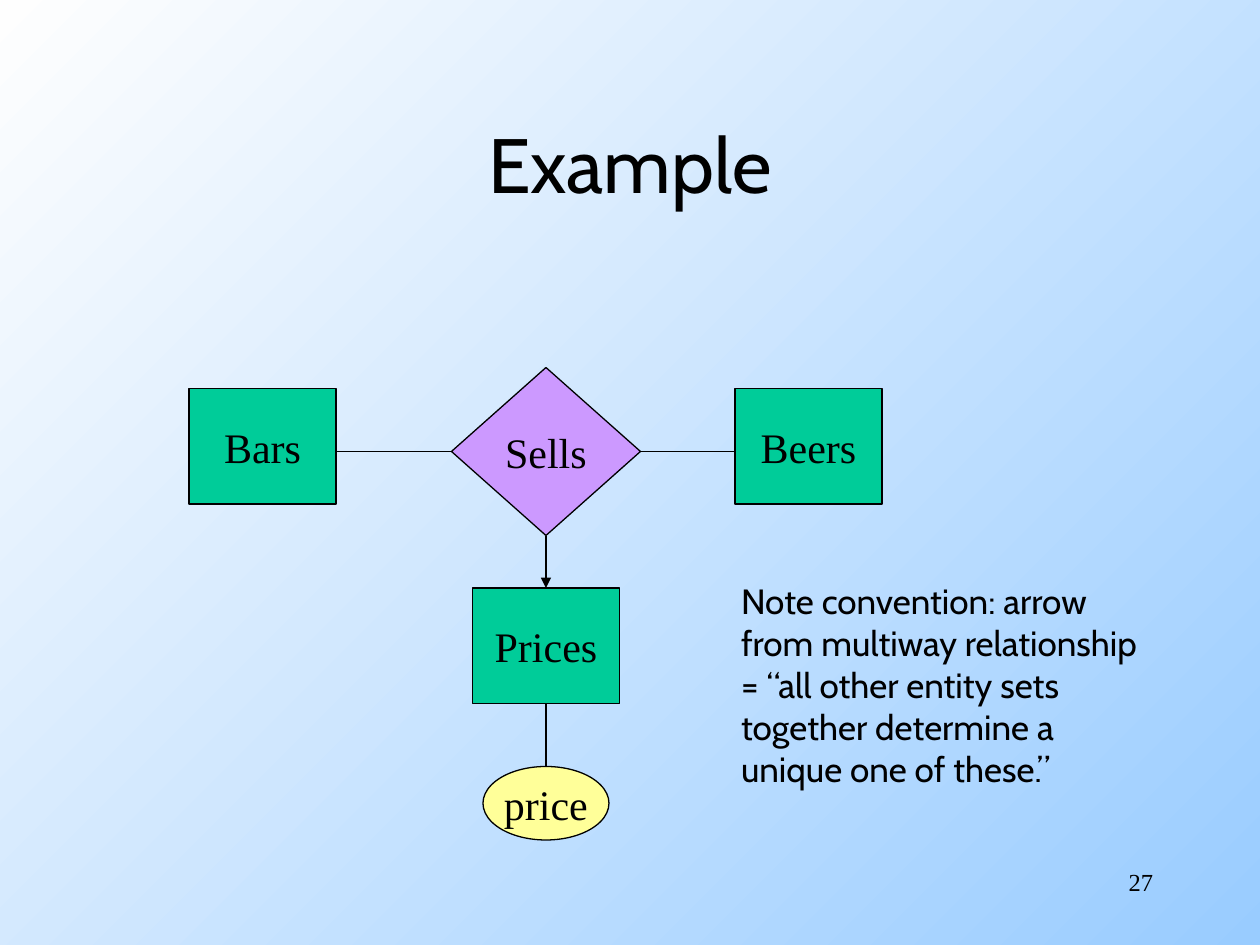
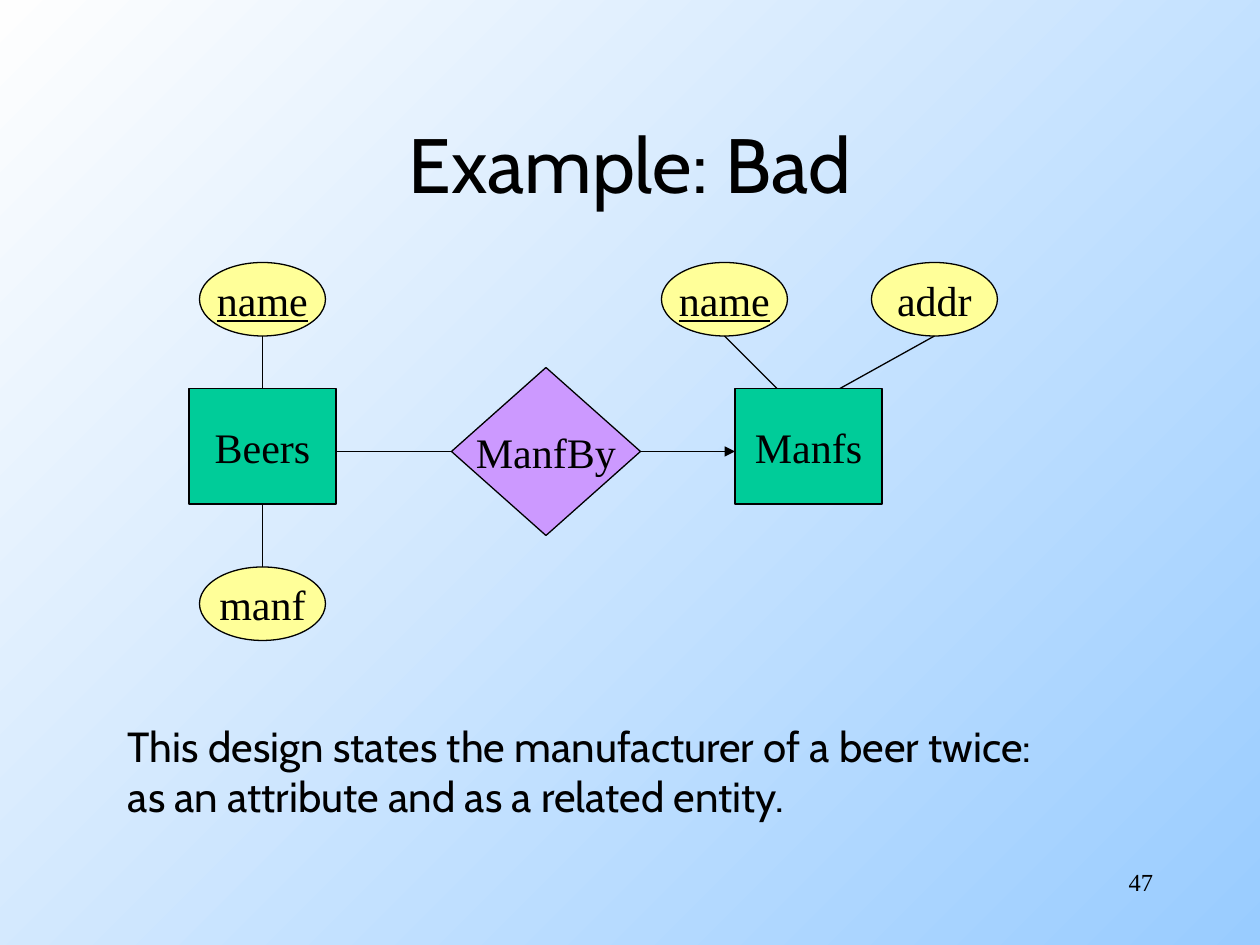
"""Build two entity-relationship example slides."""
from pptx import Presentation
from pptx import util as u
from pptx.dml.color import RGBColor
from pptx.enum import shapes, text
from pptx.oxml import ns
from lxml import etree

PX = 7620
COLORS = {
    "ink": "000000",
    "entity": "00CC99",
    "relation": "CC99FF",
    "attribute": "FFFF99",
    "deep": "99CCFF",
    "pale": "FEFEFE",
}
SANS, SERIF = "Cabin", "Times New Roman"
TOP, LEFT, BOTTOM, RIGHT = range(4)
AXIS_Y = 430


class Deck:
    """Hold the diagram style and the current slide."""

    def __init__(self):
        self.presentation = Presentation()
        self.presentation.slide_width = 1200 * PX
        self.presentation.slide_height = 900 * PX
        fill = self.presentation.slide_master.background.fill
        fill.gradient()
        fill.gradient_angle = 135
        for stop, name in zip(fill.gradient_stops, ("deep", "pale")):
            stop.color.rgb = self.color(name)
        self.slide = None

    def color(self, name):
        return RGBColor.from_string(COLORS[name])

    def add_text(self, paragraph, words, size, font, align, underline=None):
        paragraph.alignment = align
        run = paragraph.add_run()
        run.text = words
        run.font.size = u.Pt(size)
        run.font.name = font
        run.font.underline = underline
        run.font.color.rgb = self.color("ink")

    def start_slide(self, title, number):
        layout = self.presentation.slide_layouts[5]
        self.slide = self.presentation.slides.add_slide(layout)
        shape = self.slide.shapes.title
        shape.left, shape.top = 90 * PX, 80 * PX
        shape.width, shape.height = 1020 * PX, 150 * PX
        frame = shape.text_frame
        frame.vertical_anchor = text.MSO_ANCHOR.MIDDLE
        self.add_text(frame.paragraphs[0], title, 44, SANS, text.PP_ALIGN.CENTER)
        self.note((860, 820, 250, 60), [number], 14, SERIF, text.PP_ALIGN.RIGHT)

    def note(self, box, lines, size, font=SANS, align=text.PP_ALIGN.LEFT, wrap=True):
        frame = self.slide.shapes.add_textbox(*(n * PX for n in box)).text_frame
        frame.word_wrap = wrap
        for index, line in enumerate(lines):
            paragraph = frame.add_paragraph() if index else frame.paragraphs[0]
            self.add_text(paragraph, line, size, font, align)

    def node(self, kind, box, fill, label, underline=None):
        shape = self.slide.shapes.add_shape(kind, *(n * PX for n in box))
        shape.shadow.inherit = False
        shape.fill.solid()
        shape.fill.fore_color.rgb = self.color(fill)
        shape.line.color.rgb = self.color("ink")
        shape.line.width = u.Pt(0.75)
        frame = shape.text_frame
        frame.word_wrap = False
        frame.vertical_anchor = text.MSO_ANCHOR.MIDDLE
        self.add_text(frame.paragraphs[0], label, 24, SERIF, text.PP_ALIGN.CENTER, underline)
        return shape

    def entity(self, left, top, label):
        kind = shapes.MSO_SHAPE.RECTANGLE
        return self.node(kind, (left, top, 140, 110), "entity", label)

    def relation(self, left, top, label):
        kind = shapes.MSO_SHAPE.DIAMOND
        return self.node(kind, (left, top, 180, 160), "relation", label)

    def attribute(self, left, top, label, key=None):
        kind = shapes.MSO_SHAPE.OVAL
        return self.node(kind, (left, top, 120, 70), "attribute", label, key)

    def point(self, end):
        item, site = end
        if isinstance(item, int):
            return item * PX, site * PX
        x = item.left + item.width * (1, 0, 1, 2)[site] // 2
        y = item.top + item.height * (0, 1, 2, 1)[site] // 2
        return x, y

    def link(self, start, end, arrow=False):
        connector = self.slide.shapes.add_connector(
            shapes.MSO_CONNECTOR.STRAIGHT, *self.point(start), *self.point(end))
        for place, join in ((start, connector.begin_connect), (end, connector.end_connect)):
            if not isinstance(place[0], int):
                join(*place)
        connector.line.color.rgb = self.color("ink")
        connector.line.width = u.Pt(0.75)
        properties = connector._element.spPr
        if arrow:
            line = properties.find(ns.qn("a:ln"))
            etree.SubElement(line, ns.qn("a:tailEnd"), type="triangle")
        etree.SubElement(properties, ns.qn("a:effectLst"))

    def relationship(self, left_label, relation_label, right_label, arrow=False):
        left = self.entity(180, 370, left_label)
        self.entity(700, 370, right_label)
        relation = self.relation(430, 350, relation_label)
        self.link((relation, LEFT), (320, AXIS_Y))
        self.link((relation, RIGHT), (700, AXIS_Y), arrow)
        return left, relation


def main():
    deck = Deck()

    deck.start_slide("Example", "27")
    bars, sells = deck.relationship("Bars", "Sells", "Beers")
    prices = deck.entity(450, 560, "Prices")
    price = deck.attribute(460, 730, "price")
    deck.link((sells, BOTTOM), (prices, TOP), arrow=True)
    deck.link((prices, BOTTOM), (price, TOP))
    deck.note((694, 546, 449, 212), [
        "Note convention: arrow",
        "from multiway relationship",
        "= “all other entity sets",
        "together determine a",
        "unique one of these.”",
    ], 20, wrap=False)

    deck.start_slide("Example: Bad", "47")
    beers, made_by = deck.relationship("Beers", "ManfBy", "Manfs", arrow=True)
    deck.attribute(190, 250, "name", key=True)
    deck.attribute(630, 250, "name", key=True)
    deck.attribute(830, 250, "addr")
    manf = deck.attribute(190, 540, "manf")
    deck.link((250, 320), (beers, TOP))
    deck.link((manf, TOP), (beers, BOTTOM))
    deck.link((690, 320), (740, 370))
    deck.link((890, 320), (800, 370))
    deck.note((110, 680, 902, 108), [
        "This design states the manufacturer of a beer twice: "
        "as an attribute and as a related entity.",
    ], 24)

    deck.presentation.save("out.pptx")


if __name__ == "__main__":
    main()
